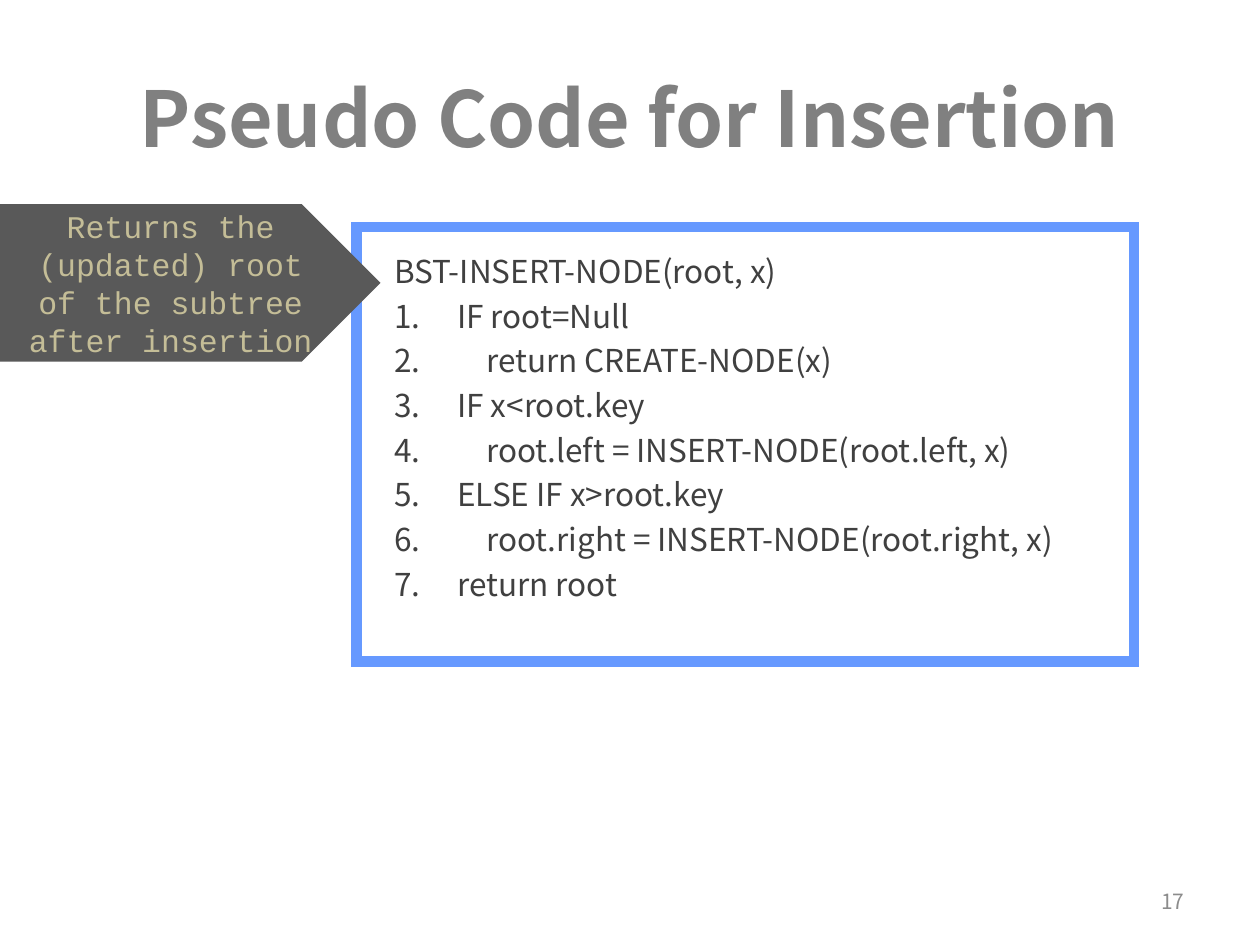
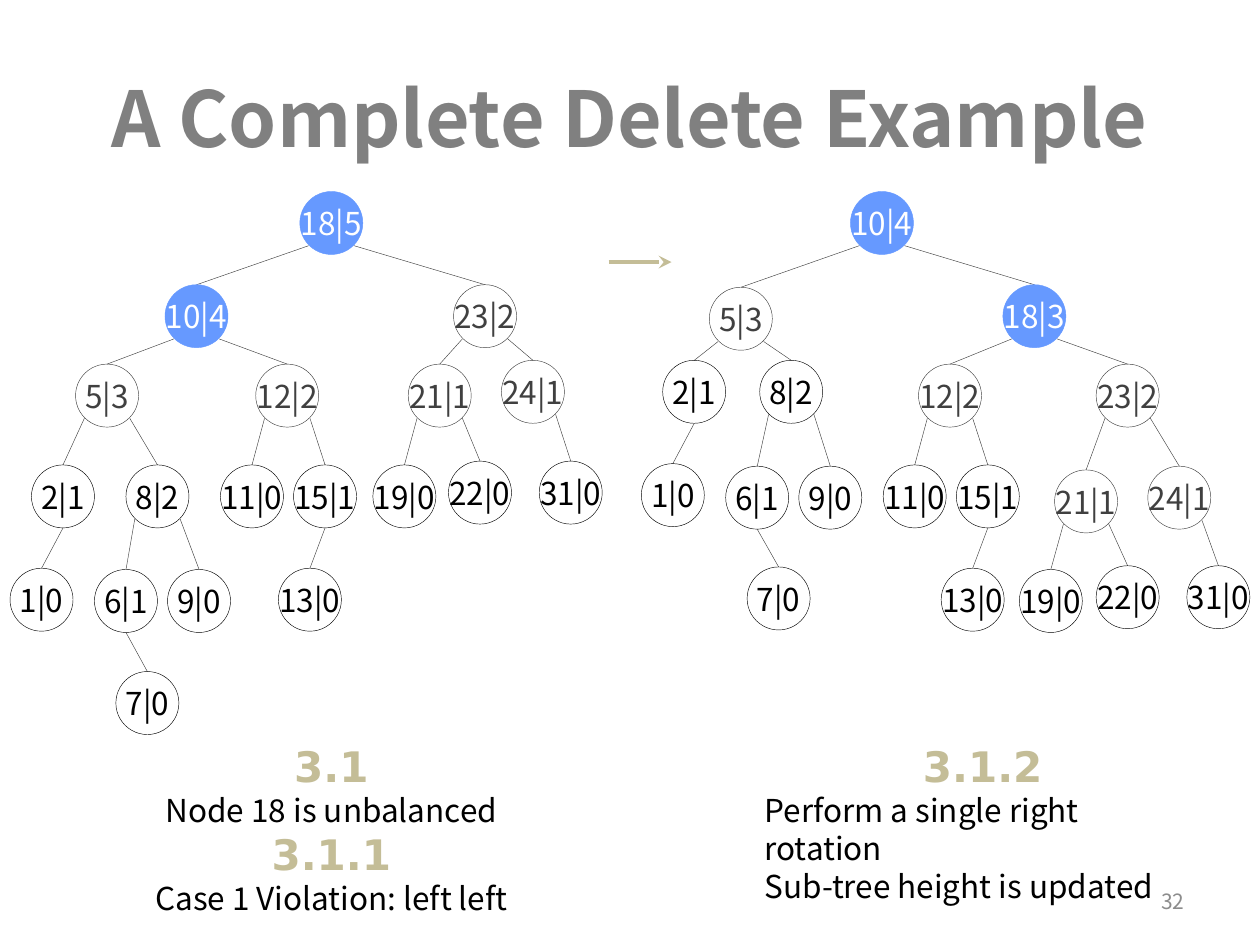
import lxml.etree
import pptx
import pptx.dml.color
import pptx.enum.shapes
import pptx.enum.text
import pptx.oxml.ns
import pptx.util

Inches = pptx.util.Inches
Pt = pptx.util.Pt
ALIGN = pptx.enum.text.PP_ALIGN
ANCHOR = pptx.enum.text.MSO_ANCHOR
SHAPE = pptx.enum.shapes.MSO_SHAPE

COLOURS = {
    "title": "808080", "text": "404040", "number": "8C8C8C", "accent": "6699FF",
    "sand": "C4BD97", "banner": "595959", "black": "000000", "white": "FFFFFF",
}
SANS, CODE, HEADING = "Noto Sans CJK SC", "Courier New", "DejaVu Sans"

# Node style: fill, outline, text
NODE_STYLES = {
    "rotated": ("accent", "accent", "white"),
    "inner": (None, "text", "text"),
    "plain": (None, "black", "black"),
}
NODE_SIZE = 0.5
DIAGONAL = 0.18  # offset of a diagonal point on the node's rim
# Where an edge leaves its parent, measured from the parent's centre
EDGE_STARTS = {
    "left": (-DIAGONAL, DIAGONAL),
    "right": (DIAGONAL, DIAGONAL),
    "below": (0, NODE_SIZE / 2),
}

# Tree rows: label, left, top, style, parent, side of the parent
TREE_BEFORE = [
    ("18|5", 2.38, 0.02, "rotated", None, None),
    ("10|4", 1.31, 0.76, "rotated", "18|5", "left"),
    ("23|2", 3.6, 0.76, "inner", "18|5", "right"),
    ("5|3", 0.6, 1.39, "inner", "10|4", "left"),
    ("12|2", 2.03, 1.39, "inner", "10|4", "right"),
    ("21|1", 3.24, 1.39, "inner", "23|2", "left"),
    ("24|1", 3.98, 1.36, "inner", "23|2", "right"),
    ("2|1", 0.25, 2.19, "plain", "5|3", "left"),
    ("8|2", 1, 2.19, "plain", "5|3", "right"),
    ("11|0", 1.75, 2.19, "plain", "12|2", "left"),
    ("15|1", 2.33, 2.19, "plain", "12|2", "right"),
    ("19|0", 2.96, 2.19, "plain", "21|1", "left"),
    ("22|0", 3.56, 2.16, "plain", "21|1", "right"),
    ("31|0", 4.28, 2.16, "plain", "24|1", "right"),
    ("1|0", 0.08, 3.01, "plain", "2|1", "below"),
    ("6|1", 0.75, 3.02, "plain", "8|2", "left"),
    ("9|0", 1.33, 3.02, "plain", "8|2", "right"),
    ("13|0", 2.21, 3.01, "plain", "15|1", "below"),
    ("7|0", 0.92, 3.83, "plain", "6|1", "below"),
]
TREE_AFTER = [
    ("10|4", 1.75, 0.02, "rotated", None, None),
    ("5|3", 0.63, 0.78, "inner", "10|4", "left"),
    ("18|3", 2.96, 0.76, "rotated", "10|4", "right"),
    ("2|1", 0.26, 1.36, "plain", "5|3", "left"),
    ("8|2", 1.03, 1.36, "plain", "5|3", "right"),
    ("12|2", 2.29, 1.39, "inner", "18|3", "left"),
    ("23|2", 3.7, 1.39, "inner", "18|3", "right"),
    ("1|0", 0.09, 2.18, "plain", "2|1", "below"),
    ("6|1", 0.76, 2.2, "plain", "8|2", "left"),
    ("9|0", 1.34, 2.2, "plain", "8|2", "right"),
    ("11|0", 2.01, 2.19, "plain", "12|2", "left"),
    ("15|1", 2.59, 2.19, "plain", "12|2", "right"),
    ("21|1", 3.37, 2.23, "inner", "23|2", "left"),
    ("24|1", 4.11, 2.2, "inner", "23|2", "right"),
    ("7|0", 0.93, 3, "plain", "6|1", "below"),
    ("13|0", 2.47, 3.01, "plain", "15|1", "below"),
    ("19|0", 3.09, 3.02, "plain", "21|1", "left"),
    ("22|0", 3.7, 2.99, "plain", "21|1", "right"),
    ("31|0", 4.42, 2.99, "plain", "24|1", "right"),
]

# Pseudo code lines: nesting depth, text
CODE_TITLE = "BST-INSERT-NODE(root, x)"
CODE_LINES = [
    (0, "IF root=Null"),
    (1, "return CREATE-NODE(x)"),
    (0, "IF x<root.key"),
    (1, "root.left = INSERT-NODE(root.left, x)"),
    (0, "ELSE IF x>root.key"),
    (1, "root.right = INSERT-NODE(root.right, x)"),
    (0, "return root"),
]


def colour(name):
    return pptx.dml.color.RGBColor.from_string(COLOURS[name])


def add_xml(parent, tag, **attributes):
    return lxml.etree.SubElement(parent, pptx.oxml.ns.qn(tag), **attributes)


def format_para(para, size, ink, font=SANS, bold=False, align=ALIGN.LEFT):
    para.alignment = align
    for run in para.runs:
        run.font.size = Pt(size)
        run.font.name = font
        run.font.bold = bold
        run.font.color.rgb = colour(ink)


def add_panel(page, kind, box, fill, line=None, width=0.25):
    panel = page.shapes.add_shape(kind, *map(Inches, box))
    panel.shadow.inherit = False
    if fill:
        panel.fill.solid()
        panel.fill.fore_color.rgb = colour(fill)
    else:
        panel.fill.background()
    if line:
        panel.line.color.rgb = colour(line)
        panel.line.width = Pt(width)
    else:
        panel.line.fill.background()
    return panel


def add_line(page, start, end, ink, width):
    line = page.shapes.add_connector(
        pptx.enum.shapes.MSO_CONNECTOR.STRAIGHT, *map(Inches, start + end))
    line.line.color.rgb = colour(ink)
    line.line.width = Pt(width)
    add_xml(line._element.spPr, "a:effectLst")
    return line


def add_text_box(page, box):
    frame = page.shapes.add_textbox(*map(Inches, box)).text_frame
    frame.word_wrap = True
    return frame


def add_page(deck, title, number):
    """Slide with the shared title style and page number."""
    page = deck.slides.add_slide(deck.slide_layouts[5])
    holder = page.shapes.title
    holder.left, holder.top, holder.width, holder.height = map(Inches, (0.5, 0.3, 9, 1.25))
    frame = holder.text_frame
    frame.text = title
    frame.auto_size = pptx.enum.text.MSO_AUTO_SIZE.NONE
    frame.vertical_anchor = ANCHOR.MIDDLE
    format_para(frame.paragraphs[0], 44, "title", bold=True, align=ALIGN.CENTER)

    footer = add_text_box(page, (7.17, 6.95, 2.33, 0.4))
    footer.text = str(number)
    footer.vertical_anchor = ANCHOR.MIDDLE
    format_para(footer.paragraphs[0], 12, "number", align=ALIGN.RIGHT)
    return page


def add_code_box(page, box):
    panel = add_panel(page, SHAPE.RECTANGLE, box, "white", "accent", 6)
    add_xml(panel._element.spPr.find(pptx.oxml.ns.qn("a:ln")), "a:miter", lim="800000")
    frame = panel.text_frame
    frame.word_wrap = True
    frame.vertical_anchor = ANCHOR.TOP
    frame.margin_left = frame.margin_right = Inches(0.3)
    frame.margin_top = frame.margin_bottom = Inches(0.2)
    frame.text = "\n".join([CODE_TITLE] + [text for _, text in CODE_LINES])
    for para in frame.paragraphs:
        format_para(para, 18, "text")
        para.space_before = Pt(3.9)
    # Numbers stay in one column, nested lines start further in
    for para, (depth, _) in zip(frame.paragraphs[1:], CODE_LINES):
        indent = Inches(0.5 + 0.23 * depth)
        properties = para._p.get_or_add_pPr()
        properties.set("marL", str(indent))
        properties.set("indent", str(-indent))
        add_xml(properties, "a:buFont", typeface="+mj-lt")
        add_xml(properties, "a:buAutoNum", type="arabicPeriod")


def add_banner(page, box, text):
    frame = add_panel(page, SHAPE.PENTAGON, box, "banner").text_frame
    frame.word_wrap = True
    frame.vertical_anchor = ANCHOR.MIDDLE
    frame.text = text
    format_para(frame.paragraphs[0], 18, "sand", font=CODE, align=ALIGN.CENTER)


def add_node(page, left, top, label, style):
    fill, line, ink = NODE_STYLES[style]
    node = add_panel(page, SHAPE.OVAL, (left, top, NODE_SIZE, NODE_SIZE), fill, line)
    frame = node.text_frame
    frame.margin_left = frame.margin_right = frame.margin_top = frame.margin_bottom = 0
    frame.word_wrap = False
    frame.vertical_anchor = ANCHOR.MIDDLE
    frame.text = label
    format_para(frame.paragraphs[0], 18, ink, align=ALIGN.CENTER)


def add_tree(page, left, top, rows):
    """Nodes, each joined from its top to the rim of its parent."""
    radius = NODE_SIZE / 2
    centres = {}
    for label, x, y, style, parent, side in rows:
        centre_x, centre_y = left + x + radius, top + y + radius
        centres[label] = (centre_x, centre_y)
        if parent:
            parent_x, parent_y = centres[parent]
            shift_x, shift_y = EDGE_STARTS[side]
            add_line(page, (parent_x + shift_x, parent_y + shift_y),
                     (centre_x, centre_y - radius), "text", 0.25)
        add_node(page, left + x, top + y, label, style)


def add_caption(page, box, lines, align):
    """Step numbers as headings, other lines as plain text."""
    frame = add_text_box(page, box)
    frame.text = "\n".join(lines)
    for para in frame.paragraphs:
        if para.text[0].isdigit():
            format_para(para, 24, "sand", HEADING, True, ALIGN.CENTER)
        else:
            format_para(para, 18, "black", align=align)


def build_insertion_page(deck):
    page = add_page(deck, "Pseudo Code for Insertion", 17)
    add_code_box(page, (2.83, 1.8, 6.17, 3.45))
    add_banner(page, (0, 1.62, 3.02, 1.25),
               "Returns the (updated) root of the subtree after insertion")


def build_delete_page(deck):
    page = add_page(deck, "A Complete Delete Example", 32)
    # Trees before and after the rotation
    add_tree(page, 0, 1.5, TREE_BEFORE)
    add_tree(page, 5, 1.5, TREE_AFTER)
    arrow = add_line(page, (4.83, 2.08), (5.33, 2.08), "sand", 2.5)
    add_xml(arrow._element.spPr.find(pptx.oxml.ns.qn("a:ln")), "a:tailEnd", type="stealth")
    # Captions
    add_caption(page, (1.12, 5.83, 3.02, 1.82),
                ["3.1", "Node 18 is unbalanced", "3.1.1", "Case 1 Violation: left left"],
                ALIGN.CENTER)
    add_caption(page, (5.97, 5.83, 3.66, 1.11),
                ["3.1.2", "Perform a single right rotation", "Sub-tree height is updated"],
                ALIGN.LEFT)


def main():
    deck = pptx.Presentation()
    deck.slide_width, deck.slide_height = Inches(10), Inches(7.5)
    build_insertion_page(deck)
    build_delete_page(deck)
    deck.save("out.pptx")


if __name__ == "__main__":
    main()
